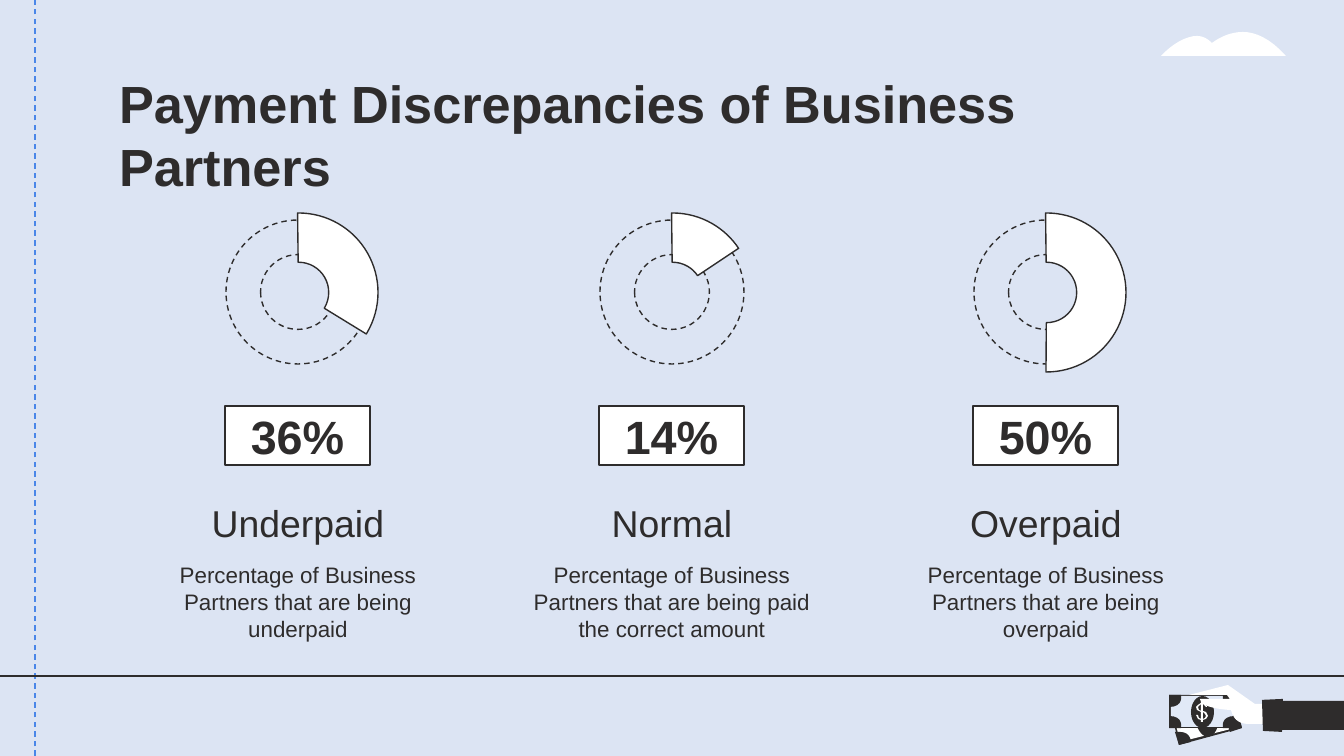
from dataclasses import dataclass

from lxml import etree
from pptx import Presentation
from pptx.dml.color import RGBColor
from pptx.enum.dml import MSO_LINE
from pptx.enum.shapes import MSO_CONNECTOR, MSO_SHAPE
from pptx.enum.text import MSO_ANCHOR, MSO_AUTO_SIZE, PP_ALIGN
from pptx.oxml.ns import qn
from pptx.util import Emu, Pt

PX = 914400 / 134.4  # EMU in one px
FINE = 100  # outline units in one px
STEPS = 8  # straight pieces in one curve
FONT = "Arial"
COLORS = {"sky": "DCE4F3", "ink": "2E2C2C", "white": "FFFFFF",
          "paper": "E1E9F7", "green": "008E79", "blue": "4A86E8"}
DASH = MSO_LINE.DASH
RECT, OVAL = MSO_SHAPE.RECTANGLE, MSO_SHAPE.OVAL
DONUT, BLOCK_ARC = MSO_SHAPE.DONUT, MSO_SHAPE.BLOCK_ARC
TOP, MIDDLE, BOTTOM = MSO_ANCHOR.TOP, MSO_ANCHOR.MIDDLE, MSO_ANCHOR.BOTTOM
LEFT, CENTER = PP_ALIGN.LEFT, PP_ALIGN.CENTER


@dataclass
class Share:
    percent: str
    label: str
    description: str
    end_angle: float  # where the arc stops, clockwise from three o'clock


@dataclass
class Outline:
    fill: str
    # contours of points: (x, y) is a line, six numbers are a cubic curve
    contours: list


SHARES = [
    Share("36%", "Underpaid", "Percentage of Business Partners that are being underpaid", 31.5),
    Share("14%", "Normal", "Percentage of Business Partners that are being paid the correct amount", 326.27),
    Share("50%", "Overpaid", "Percentage of Business Partners that are being overpaid", 90.34),
]

CLOUD = Outline("white", [[
    (1243, 32), (1231, 32, 1220, 37, 1212, 43), (1208, 39, 1203, 36, 1197, 36),
    (1187, 36, 1173, 43, 1161, 56), (1286, 56), (1270, 38, 1255, 32, 1243, 32)]])
TILTED_BILL = [
    Outline("ink", [[(1234, 696), (1171, 711), (1179, 745), (1242, 728)]]),
    Outline("white", [[(1232, 698), (1173, 712), (1180, 742), (1239, 727)]]),
    Outline("green", [[(1234, 696), (1222, 699), (1222, 699, 1222, 708, 1232, 708),
                       (1234, 708, 1235, 708, 1237, 707)]]),
    Outline("green", [[(1183, 708), (1171, 711), (1173, 723),
                       (1188, 719, 1183, 708, 1183, 708)]]),
    Outline("ink", [[(1180, 732), (1175, 732), (1179, 745), (1191, 742),
                     (1191, 742, 1191, 732, 1180, 732)]]),
    Outline("ink", [[(1239, 718), (1224, 720, 1230, 732, 1230, 732), (1242, 728)]]),
    Outline("ink", [[(1204, 706), (1196, 707, 1193, 715, 1196, 723),
                     (1198, 731, 1203, 737, 1208, 737), (1216, 735, 1219, 727, 1218, 718),
                     (1215, 711, 1210, 706, 1204, 706)]]),
]
DOLLAR = Outline("white", [
    [(1201, 702), (1201, 703), (1198, 705), (1196, 707), (1197, 710), (1199, 711),
     (1201, 712), (1201, 719), (1199, 718), (1198, 715), (1196, 715), (1198, 719),
     (1201, 720), (1201, 722), (1203, 722), (1203, 720), (1206, 719), (1208, 716),
     (1207, 714), (1206, 712), (1203, 711), (1203, 704), (1205, 706), (1206, 707),
     (1207, 707), (1206, 704), (1203, 703), (1203, 702)],
    [(1201, 704), (1201, 711), (1199, 710), (1198, 707), (1199, 706)],
    [(1203, 712), (1205, 714), (1206, 716), (1205, 718), (1203, 719)],
])
HAND = Outline("white", [[
    (1228, 685), (1189, 695), (1227, 695), (1230, 699), (1200, 699),
    (1200, 708, 1227, 710, 1231, 710), (1234, 722, 1242, 724, 1249, 724),
    (1267, 724), (1267, 704), (1255, 704)]])
CUFF = Outline("ink", [[(1283, 699), (1262, 700), (1263, 731), (1282, 732)]])


def px(n: float) -> Emu:
    return Emu(round(n * PX))


def rgb(name: str) -> RGBColor:
    return RGBColor.from_string(COLORS[name])


def paint(sp, fill: str = "", line: str = "", dash=None) -> None:
    sp.shadow.inherit = False
    if fill:
        sp.fill.solid()
        sp.fill.fore_color.rgb = rgb(fill)
    else:
        sp.fill.background()
    if line:
        sp.line.color.rgb = rgb(line)
        sp.line.width = Pt(0.75)
        if dash:
            sp.line.dash_style = dash
    else:
        sp.line.fill.background()


def add_preset(s, kind, x: int, y: int, w: int, h: int, fill="", line="", dash=None):
    sp = s.shapes.add_shape(kind, px(x), px(y), px(w), px(h))
    paint(sp, fill, line, dash)
    return sp


def flatten(contour: list) -> list:
    """Turn lines and cubic curves into points in fine units."""
    points = [contour[0]]
    for part in contour[1:]:
        if len(part) == 2:
            points.append(part)
            continue
        curve = [points[-1], part[:2], part[2:4], part[4:]]
        for i in range(1, STEPS + 1):
            t = i / STEPS
            weights = ((1 - t) ** 3, 3 * t * (1 - t) ** 2, 3 * t * t * (1 - t), t ** 3)
            points.append(tuple(sum(k * p[axis] for k, p in zip(weights, curve))
                                for axis in (0, 1)))
    return [(round(x * FINE), round(y * FINE)) for x, y in points]


def add_outline(s, outline: Outline) -> None:
    contours = [flatten(c) for c in outline.contours]
    builder = s.shapes.build_freeform(*contours[0][0], scale=PX / FINE)
    for i, points in enumerate(contours):
        if i:
            builder.move_to(*points[0])
        builder.add_line_segments(points[1:], close=True)
    paint(builder.convert_to_shape(), outline.fill)


def add_line(s, x1: int, y1: int, x2: int, y2: int, color: str, dash=None) -> None:
    line = s.shapes.add_connector(MSO_CONNECTOR.STRAIGHT, px(x1), px(y1), px(x2), px(y2))
    line.line.color.rgb = rgb(color)
    line.line.width = Pt(0.75)
    if dash:
        line.line.dash_style = dash
    etree.SubElement(line._element.spPr, qn("a:effectLst"))


def write(sp, text: str, size: int, bold=False, anchor=TOP, align=CENTER) -> None:
    tf = sp.text_frame
    tf.text = text
    tf.word_wrap = True
    tf.auto_size = MSO_AUTO_SIZE.NONE
    tf.vertical_anchor = anchor
    tf.margin_left = tf.margin_right = tf.margin_top = tf.margin_bottom = px(13)
    p = tf.paragraphs[0]
    p.alignment = align
    font = p.runs[0].font
    font.name, font.size, font.bold = FONT, Pt(size), bold
    font.color.rgb = rgb("ink")


def add_text(s, x: int, y: int, w: int, h: int, text: str, size: int, anchor=TOP) -> None:
    write(s.shapes.add_textbox(px(x), px(y), px(w), px(h)), text, size, anchor=anchor)


def add_share(s, share: Share, cx: int) -> None:
    ring = add_preset(s, DONUT, cx - 72, 220, 144, 144, line="ink", dash=DASH)
    ring.adjustments[0] = 0.24
    arc = add_preset(s, BLOCK_ARC, cx - 79, 213, 159, 159, "white", "ink")
    # angles are stored in 60000ths of a degree, adjustments in 100000ths
    for i, value in enumerate((269.35 * 0.6, share.end_angle * 0.6, 0.31)):
        arc.adjustments[i] = value
    box = add_preset(s, RECT, cx - 73, 406, 145, 59, "white", "ink")
    write(box, share.percent, 25, bold=True, anchor=MIDDLE)
    add_text(s, cx - 160, 484, 320, 74, share.label, 20, BOTTOM)
    add_text(s, cx - 160, 548, 320, 104, share.description, 12)


def add_money_hand(s) -> None:
    for outline in TILTED_BILL:
        add_outline(s, outline)
    add_preset(s, RECT, 1169, 695, 66, 33, "ink")
    add_preset(s, RECT, 1171, 696, 62, 31, "paper")
    # rounded corners of the front bill
    for x, dx in ((1169, 1), (1235, -1)):
        for y, dy in ((695, 1), (728, -1)):
            tip = (x + 12 * dx, y)
            curve = (x + 15 * dx, y + 12 * dy) + tip + tip
            add_outline(s, Outline("ink", [[(x, y), (x, y + 12 * dy), curve]]))
    add_preset(s, OVAL, 1191, 696, 23, 32, "ink")
    add_outline(s, DOLLAR)
    add_outline(s, HAND)
    add_preset(s, RECT, 1269, 701, 75, 29, "ink")
    add_outline(s, CUFF)


def main() -> None:
    prs = Presentation()
    prs.slide_width, prs.slide_height = px(1344), px(756)
    s = prs.slides.add_slide(prs.slide_layouts[5])
    s.background.fill.solid()
    s.background.fill.fore_color.rgb = rgb("sky")

    # Frame lines and decoration
    add_line(s, 35, 756, 35, 0, "blue", DASH)
    add_line(s, 0, 676, 1344, 676, "ink")
    add_outline(s, CLOUD)
    add_money_hand(s)

    # Title
    title = s.shapes.title
    title.left, title.top, title.width, title.height = px(106), px(58), px(1133), px(85)
    write(title, "Payment Discrepancies of Business Partners", 28, bold=True, align=LEFT)

    # Three equal columns
    for i, share in enumerate(SHARES):
        add_share(s, share, 298 + 374 * i)
    prs.save("out.pptx")


if __name__ == "__main__":
    main()
